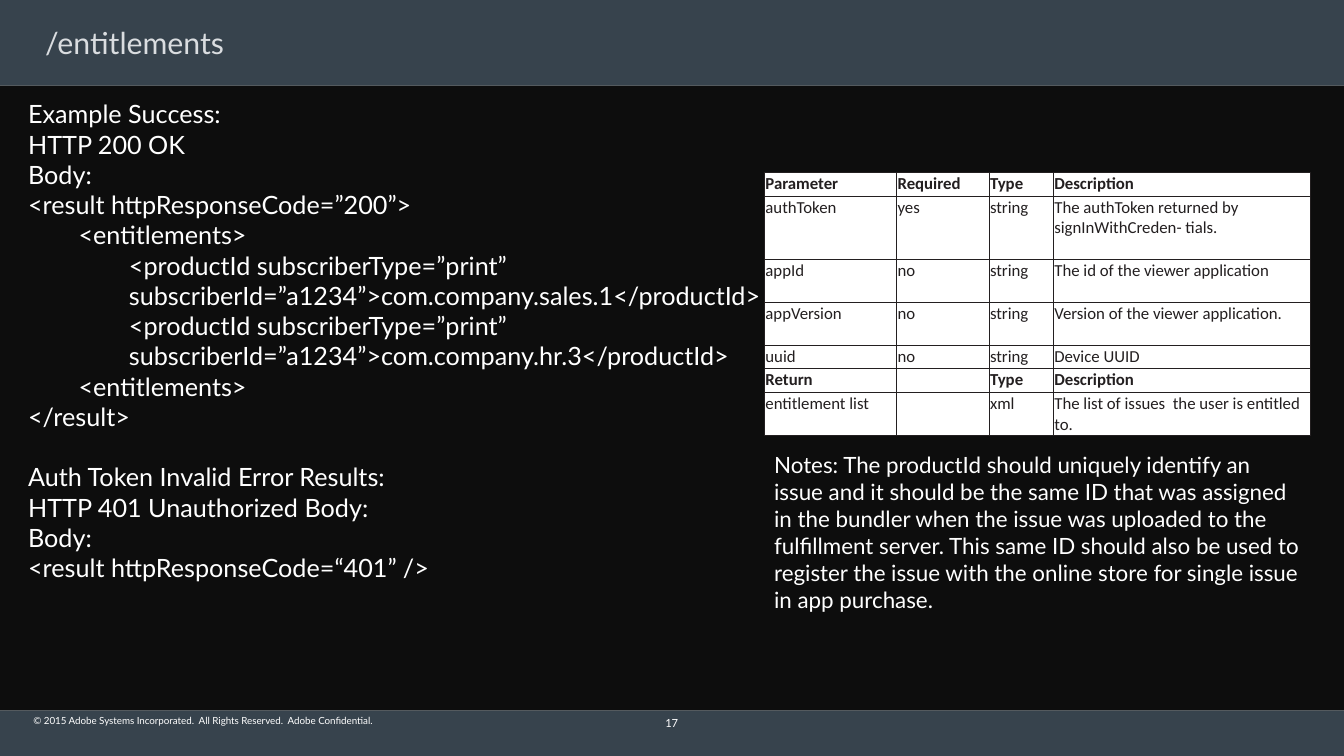
"""Build the /entitlements API reference slide."""
from pptx import Presentation
from pptx.dml.color import RGBColor
from pptx.enum.shapes import MSO_SHAPE
from pptx.enum.text import MSO_ANCHOR, PP_ALIGN
from pptx.oxml import parse_xml
from pptx.oxml.ns import nsdecls
from pptx.util import Cm, Pt

SLATE = RGBColor(0x37, 0x43, 0x4D)
BLACK = RGBColor(0x0D, 0x0D, 0x0D)
WHITE = RGBColor(0xFF, 0xFF, 0xFF)
SILVER = RGBColor(0xDA, 0xDD, 0xE0)
INK = RGBColor(0x23, 0x1F, 0x20)

prs = Presentation()
prs.slide_width, prs.slide_height = Cm(33.87), Cm(19.05)
s = prs.slides.add_slide(prs.slide_layouts[6])


def style(p, size, color, name="Lato", bold=False):
    p.font.size, p.font.name, p.font.bold = Pt(size), name, bold
    p.font.color.rgb = color


def add_text(box, lines, size, color=WHITE, anchor=MSO_ANCHOR.TOP,
             inset=(0.25, 0.13), align=PP_ALIGN.LEFT):
    tf = s.shapes.add_textbox(*map(Cm, box)).text_frame
    tf.word_wrap = True
    tf.vertical_anchor = anchor
    tf.margin_left = tf.margin_right = Cm(inset[0])
    tf.margin_top = tf.margin_bottom = Cm(inset[1])
    for i, (level, text) in enumerate(lines):
        p = tf.paragraphs[0] if i == 0 else tf.add_paragraph()
        p.text = text
        p.alignment = align
        if level:
            p.level = level
            p._p.get_or_add_pPr().set("marL", str(Cm(1.27 * level)))
        style(p, size, color)
    return tf


for top, height, color in [(17.9, 1.15, SLATE), (0, 2.16, SLATE), (2.16, 15.74, BLACK)]:
    sp = s.shapes.add_shape(MSO_SHAPE.RECTANGLE, 0, Cm(top), prs.slide_width, Cm(height))
    sp.shadow.inherit = False
    sp.fill.solid()
    sp.fill.fore_color.rgb = color
    sp.line.fill.background()

add_text((0.84, 18.01, 14.4, 0.3),
         [(0, "© 2015 Adobe Systems Incorporated.  All Rights Reserved.  Adobe Confidential.")],
         7, anchor=MSO_ANCHOR.BOTTOM, inset=(0, 0))
add_text((0.84, 0.51, 32.16, 1.14), [(0, "/entitlements")], 21.6, SILVER,
         MSO_ANCHOR.MIDDLE, (0.3, 0.15))
add_text((15.52, 17.98, 2.82, 0.46), [(0, "17")], 8, anchor=MSO_ANCHOR.MIDDLE,
         inset=(0.3, 0.15), align=PP_ALIGN.CENTER)

ERROR_HEADING = "Auth Token Invalid Error Results:"
responses = [
    (0, "Example Success:"),
    (0, "HTTP 200 OK"),
    (0, "Body:"),
    (0, "<result httpResponseCode=”200”>"),
    (1, "<entitlements>"),
    (2, "<productId subscriberType=”print” subscriberId=”a1234”>com.company.sales.1</productId>"),
    (2, "<productId subscriberType=”print” subscriberId=”a1234”>com.company.hr.3</productId>"),
    (1, "<entitlements>"),
    (0, "</result>"),
    (0, ERROR_HEADING),
    (0, "HTTP 401 Unauthorized Body:"),
    (0, "Body:"),
    (0, "<result httpResponseCode=“401” />"),
]
tf = add_text((0.46, 2.36, 19.33, 12.57), responses, 18)
for p in tf.paragraphs:
    if p.text == ERROR_HEADING:
        p.space_before = Pt(21.6)

rows = [
    (0.6, "Parameter", "Required", "Type", "Description"),
    (1.59, "authToken", "yes", "string", "The authToken returned by signInWithCreden- tials."),
    (1.08, "appId", "no", "string", "The id of the viewer application"),
    (1.08, "appVersion", "no", "string", "Version of the viewer application."),
    (0.6, "uuid", "no", "string", "Device UUID"),
    (0.6, "Return", "", "Type", "Description"),
    (1.08, "entitlement list", "", "xml", "The list of issues  the user is entitled to."),
]
table = s.shapes.add_table(len(rows), 4, Cm(19.26), Cm(4.34), Cm(13.77), Cm(6.63)).table
for col, width in zip(table.columns, (3.33, 2.33, 1.62, 6.49)):
    col.width = Cm(width)
for r, (height, *texts) in enumerate(rows):
    table.rows[r].height = Cm(height)
    for c, text in enumerate(texts):
        cell = table.cell(r, c)
        cell.margin_left = cell.margin_right = cell.margin_top = Cm(0.03)
        cell.margin_bottom = 0
        p = cell.text_frame.paragraphs[0]
        p.text = text
        style(p, 12, INK, "Calibri", texts[-1] == "Description")
        if not text:
            p._p.append(parse_xml(f'<a:endParaRPr {nsdecls("a")} sz="1200"/>'))
        tcPr = cell._tc.get_or_add_tcPr()
        for side in ("lnL", "lnR", "lnT", "lnB"):
            tcPr.append(parse_xml(
                f'<a:{side} {nsdecls("a")} w="{Pt(0.5)}"><a:solidFill>'
                f'<a:srgbClr val="{INK}"/></a:solidFill></a:{side}>'))
        cell.fill.solid()
        cell.fill.fore_color.rgb = WHITE

add_text((19.26, 11.25, 13.77, 4.37), [(0, (
    "Notes: The productId should uniquely identify an issue and it should be the same ID "
    "that was assigned in the bundler when the issue was uploaded to the fulfillment server. "
    "This same ID should also be used to register the issue with the online store for single "
    "issue in app purchase."))], 16)

prs.save("out.pptx")
